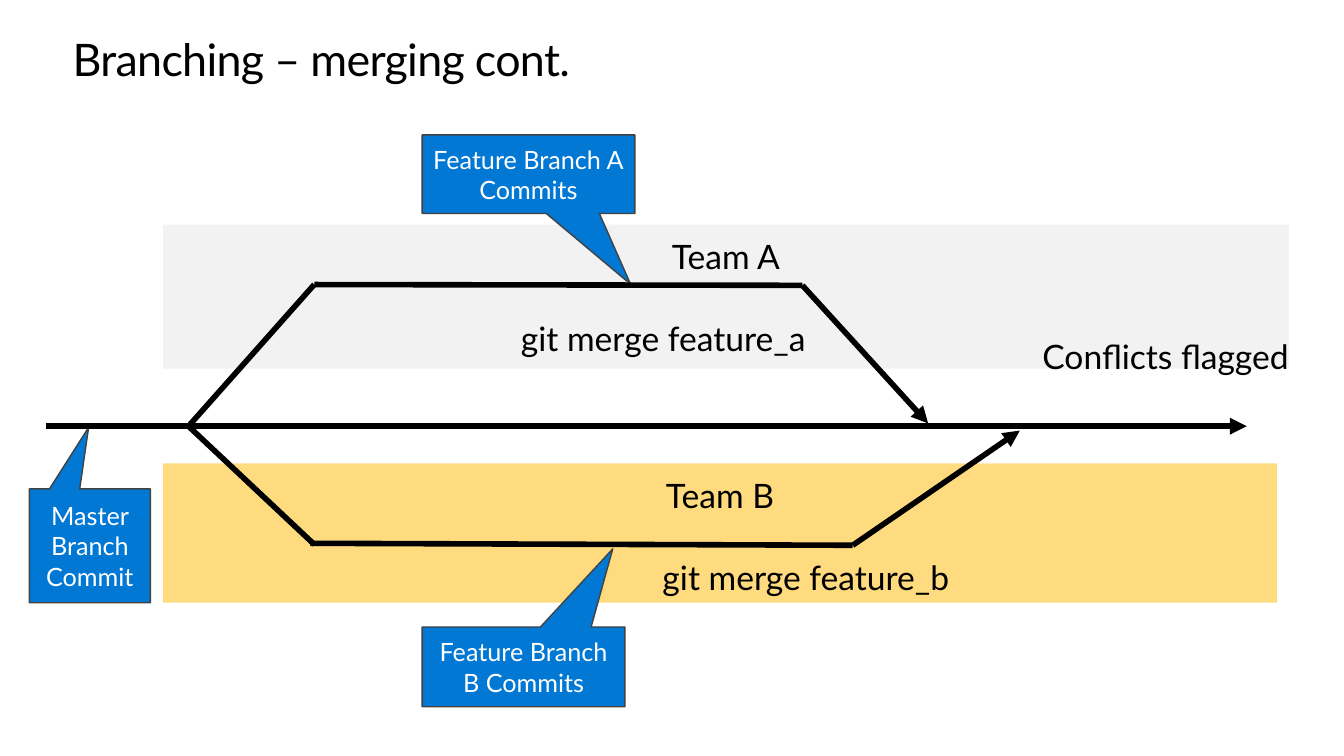
"""Build a slide that shows two feature branches merging into the master branch."""
from dataclasses import dataclass

from lxml import etree
from pptx import Presentation
from pptx.dml.color import RGBColor
from pptx.enum.shapes import MSO_CONNECTOR, MSO_SHAPE
from pptx.enum.text import MSO_ANCHOR, MSO_AUTO_SIZE, PP_ALIGN
from pptx.oxml.ns import qn
from pptx.util import Cm, Pt

RECTANGLE = MSO_SHAPE.RECTANGLE
CALLOUT = MSO_SHAPE.RECTANGULAR_CALLOUT
STRAIGHT = MSO_CONNECTOR.STRAIGHT
TOP, MIDDLE = MSO_ANCHOR.TOP, MSO_ANCHOR.MIDDLE
LEFT, CENTER, RIGHT = PP_ALIGN.LEFT, PP_ALIGN.CENTER, PP_ALIGN.RIGHT
NO_AUTOFIT, FIT_SHAPE = MSO_AUTO_SIZE.NONE, MSO_AUTO_SIZE.SHAPE_TO_FIT_TEXT


@dataclass(frozen=True)
class Theme:
    """Colours, font, type sizes and line widths of the slide."""

    ink: RGBColor = RGBColor(0, 0, 0)
    white: RGBColor = RGBColor(255, 255, 255)
    team_a: RGBColor = RGBColor(0xE6, 0xE6, 0xE6)
    team_b: RGBColor = RGBColor(0xFF, 0xB9, 0x00)
    callout: RGBColor = RGBColor(0x00, 0x78, 0xD4)
    outline: RGBColor = RGBColor(0x41, 0x42, 0x41)
    font: str = "Lato"
    title_size: Pt = Pt(32)
    label_size: Pt = Pt(24)
    callout_size: Pt = Pt(18)
    branch_width: Pt = Pt(4)
    outline_width: Pt = Pt(1)


class BranchSlide:
    """Draws the elements of a branching diagram on one slide."""

    def __init__(self, slide, theme):
        self.slide = slide
        self.theme = theme

    def set_values(self, target, values):
        for name, value in values.items():
            setattr(target, name, value)

    def set_text(self, shape, lines, size, color, paragraph_format, frame_format):
        frame = shape.text_frame
        frame.text = "\n".join(lines)
        self.set_values(frame, frame_format)
        font_format = {"name": self.theme.font, "size": size}
        for paragraph in frame.paragraphs:
            self.set_values(paragraph, paragraph_format)
            for run in paragraph.runs:
                self.set_values(run.font, font_format)
                run.font.color.rgb = color

    def padding(self, side, end):
        return {"margin_left": Cm(side), "margin_right": Cm(side),
                "margin_top": Cm(end), "margin_bottom": Cm(end)}

    def add_filled(self, kind, box, color):
        shape = self.slide.shapes.add_shape(kind, *map(Cm, box))
        shape.shadow.inherit = False
        shape.fill.solid()
        shape.fill.fore_color.rgb = color
        return shape

    def add_title(self, text, box):
        shape = self.slide.shapes.add_textbox(*map(Cm, box))
        self.set_text(shape, [text], self.theme.title_size, self.theme.ink,
                      {"line_spacing": Pt(36.2)},
                      {"word_wrap": True, **self.padding(0, 0)})
        for run in shape.text_frame.paragraphs[0].runs:
            run.font._element.set("spc", "-50")

    def add_band(self, text, box, color):
        shape = self.add_filled(RECTANGLE, box, color)
        shape.line.fill.background()
        color_element = shape._element.spPr.find(qn("a:solidFill"))[0]
        etree.SubElement(color_element, qn("a:alpha"), val="50000")
        self.set_text(shape, [text], self.theme.label_size, self.theme.ink,
                      {"alignment": CENTER, "line_spacing": 0.9},
                      {"vertical_anchor": TOP, "word_wrap": True,
                       **self.padding(0.51, 0.41)})

    def add_callout(self, lines, box, pointer):
        shape = self.add_filled(CALLOUT, box, self.theme.callout)
        shape.adjustments[0], shape.adjustments[1] = pointer
        shape.line.color.rgb = self.theme.outline
        shape.line.width = self.theme.outline_width
        self.set_text(shape, lines, self.theme.callout_size, self.theme.white,
                      {"alignment": CENTER},
                      {"vertical_anchor": MIDDLE, "word_wrap": True,
                       "auto_size": NO_AUTOFIT})

    def add_label(self, text, box, alignment):
        shape = self.slide.shapes.add_textbox(*map(Cm, box))
        self.set_text(shape, [text], self.theme.label_size, self.theme.ink,
                      {"alignment": alignment, "line_spacing": 0.9,
                       "space_after": Pt(6)},
                      {"word_wrap": False, "auto_size": FIT_SHAPE,
                       **self.padding(0.51, 0.41)})

    def add_branch(self, start, end, arrow=False):
        connector = self.slide.shapes.add_connector(
            STRAIGHT, *map(Cm, (*start, *end)))
        connector.line.color.rgb = self.theme.ink
        connector.line.width = self.theme.branch_width
        properties = connector._element.spPr
        if arrow:
            line = properties.find(qn("a:ln"))
            etree.SubElement(line, qn("a:tailEnd"), type="triangle")
        etree.SubElement(properties, qn("a:effectLst"))


def main():
    presentation = Presentation()
    presentation.slide_width = Cm(33.87)
    presentation.slide_height = Cm(19.05)
    blank_layout = presentation.slide_layouts[6]
    theme = Theme()
    diagram = BranchSlide(presentation.slides.add_slide(blank_layout), theme)

    diagram.add_band("Team A", (4.11, 5.66, 28.37, 3.63), theme.team_a)
    diagram.add_band("Team B", (4.11, 11.68, 28.07, 3.51), theme.team_b)
    diagram.add_title("Branching – merging cont.", (1.83, 0.89, 30.23, 1.27))

    callouts = [
        (["Master Branch Commit"], (0.74, 12.32, 3.05, 2.87), (-0.01, -1.04)),
        (["Feature Branch B Commits"], (10.64, 15.8, 5.11, 2.01), (0.44, -1.48)),
        (["Feature Branch A", "Commits"], (10.64, 3.4, 5.36, 1.98), (0.48, 1.4)),
    ]
    for lines, box, pointer in callouts:
        diagram.add_callout(lines, box, pointer)

    master_y = 10.74
    fork = (4.75, master_y)
    end_a, end_b = (20.22, 7.19), (21.49, 13.74)
    diagram.add_branch((1.17, master_y), (31.42, master_y), arrow=True)
    diagram.add_branch(fork, (7.92, 7.17))
    diagram.add_branch(fork, (7.92, 13.72))
    diagram.add_branch((7.92, 7.17), end_a)
    diagram.add_branch((7.82, 13.69), end_b)
    diagram.add_branch(end_b, (25.7, 10.85), arrow=True)
    diagram.add_branch(end_a, (23.39, 10.67), arrow=True)

    labels = [
        ("git merge feature_a", (12.45, 7.72, 8.36, 1.75), RIGHT),
        ("git merge feature_b", (16, 13.74, 8.43, 1.75), RIGHT),
        ("Conflicts flagged", (25.76, 8.18, 7.39, 1.75), LEFT),
    ]
    for text, box, alignment in labels:
        diagram.add_label(text, box, alignment)

    presentation.save("out.pptx")


if __name__ == "__main__":
    main()
